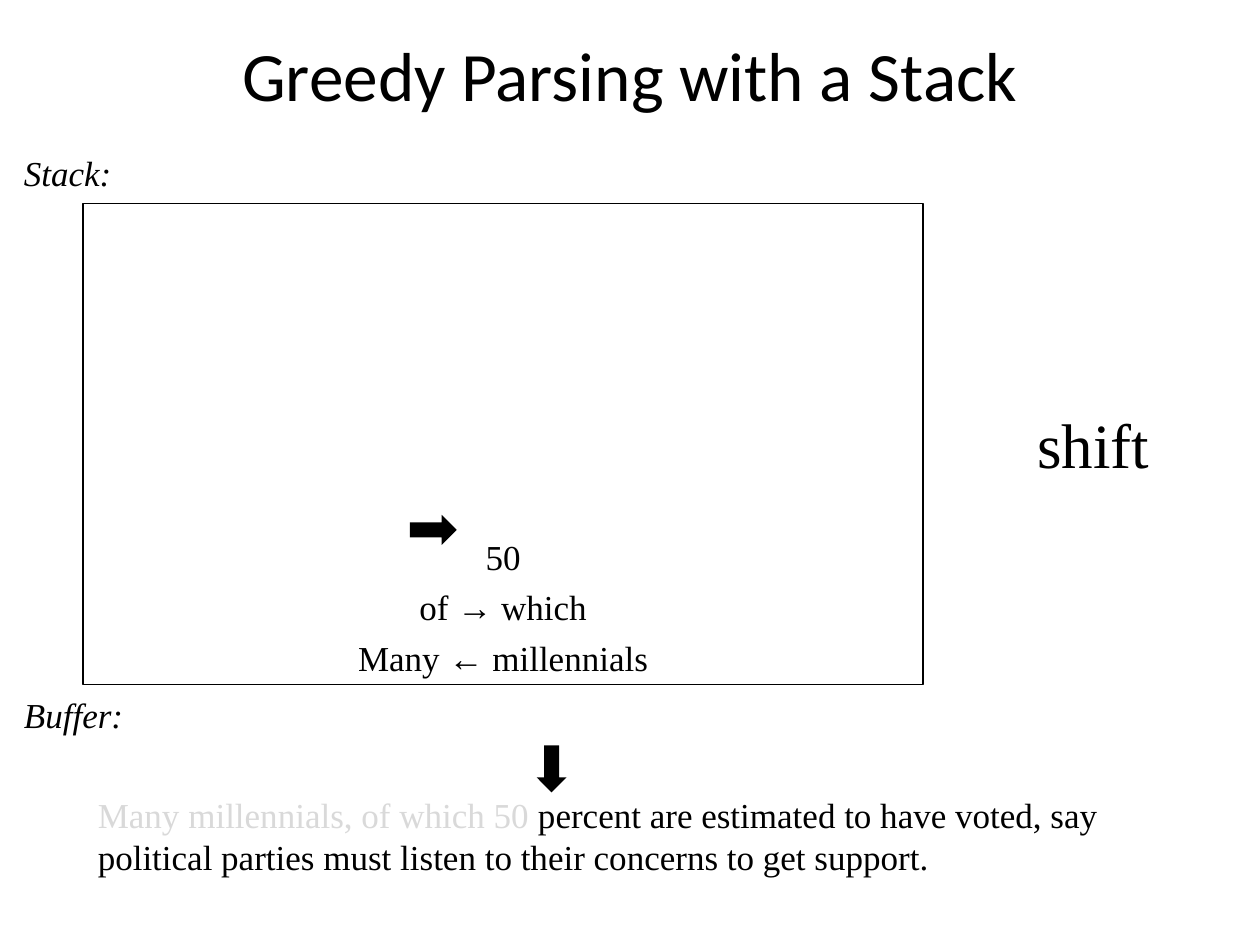
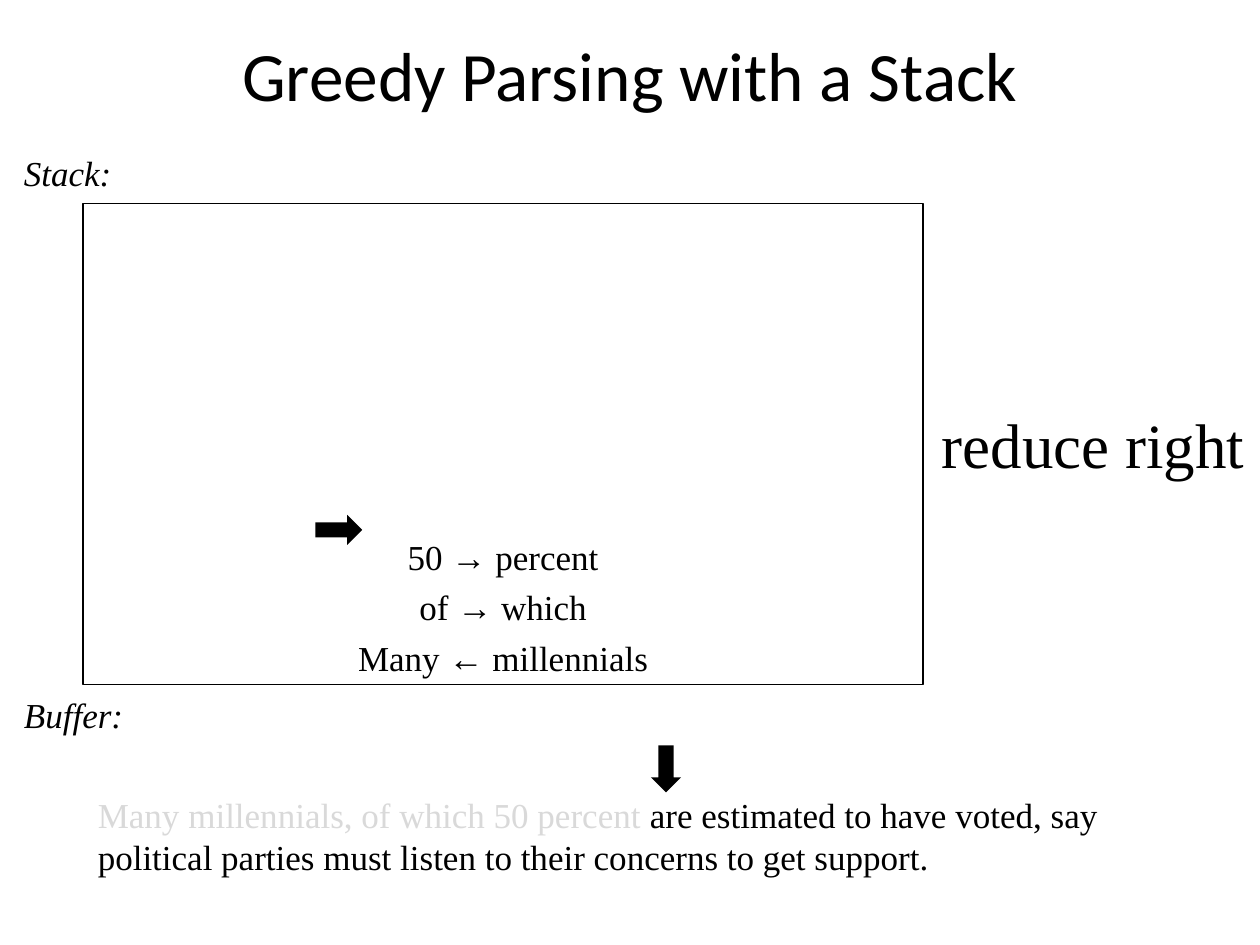
from dataclasses import dataclass

from pptx import Presentation
from pptx.dml.color import RGBColor
from pptx.enum.shapes import MSO_SHAPE
from pptx.enum.text import MSO_ANCHOR, PP_ALIGN
from pptx.util import Pt


@dataclass(frozen=True)
class Theme:
    ink: RGBColor = RGBColor(0x00, 0x00, 0x00)
    consumed: RGBColor = RGBColor(0xD9, 0xD9, 0xD9)
    paper: RGBColor = RGBColor(0xFF, 0xFF, 0xFF)
    title_font: str = "Calibri"
    body_font: str = "Times New Roman"
    title_size: float = 39.6
    action_size: float = 36
    body_size: float = 20


THEME = Theme()
TITLE = "Greedy Parsing with a Stack"
SENTENCE = ("Many millennials, of which 50 percent are estimated to have voted, "
            "say political parties must listen to their concerns to get support.")
ACTION_CENTER = 624.6
ARROW_WIDTH, ARROW_HEIGHT = 17.2, 26.8

# One parser state per slide; stack items run from top to bottom
STATES = [
    {"action": "shift", "action_width": 81.4,
     "stack": ["50", "of → which", "Many ← millennials"],
     "consumed": "Many millennials, of which 50",
     "stack_arrow": 239, "buffer_arrow": 306.6},
    {"action": "reduce right", "action_width": 200,
     "stack": ["50 → percent", "of → which", "Many ← millennials"],
     "consumed": "Many millennials, of which 50 percent",
     "stack_arrow": 185, "buffer_arrow": 372},
]


def add_run(paragraph, text, size=THEME.body_size, color=THEME.ink,
            name=THEME.body_font, italic=False):
    run = paragraph.add_run()
    run.text = text
    run.font.name = name
    run.font.size = Pt(size)
    run.font.italic = italic
    run.font.color.rgb = color


def add_text_box(slide, left, top, width, height, align=PP_ALIGN.LEFT, wrap=True):
    frame = slide.shapes.add_textbox(Pt(left), Pt(top), Pt(width), Pt(height)).text_frame
    frame.word_wrap = wrap
    frame.paragraphs[0].alignment = align
    return frame


presentation = Presentation()
presentation.slide_width = Pt(720)
presentation.slide_height = Pt(540)

for state in STATES:
    slide = presentation.slides.add_slide(presentation.slide_layouts[6])
    slide.background.fill.solid()
    slide.background.fill.fore_color.rgb = THEME.paper

    # Title
    frame = add_text_box(slide, 36, 13.5, 648, 57, PP_ALIGN.CENTER)
    frame.vertical_anchor = MSO_ANCHOR.MIDDLE
    add_run(frame.paragraphs[0], TITLE, THEME.title_size, name=THEME.title_font)

    # Sentence, with the words already read greyed out
    frame = add_text_box(slide, 48.8, 450, 648, 60)
    add_run(frame.paragraphs[0], state["consumed"], color=THEME.consumed)
    add_run(frame.paragraphs[0], SENTENCE.removeprefix(state["consumed"]))

    # Section labels
    for label, top in (("Buffer:", 393), ("Stack:", 82.8)):
        frame = add_text_box(slide, 6.6, top, 77, 30)
        add_run(frame.paragraphs[0], label, italic=True)

    # Stack, filled from the bottom up
    stack = slide.shapes.add_shape(MSO_SHAPE.RECTANGLE, Pt(47.5), Pt(116.2), Pt(480), Pt(275.2))
    stack.shadow.inherit = False
    stack.fill.background()
    stack.line.color.rgb = THEME.ink
    stack.line.width = Pt(0.75)
    frame = stack.text_frame
    frame.word_wrap = True
    frame.vertical_anchor = MSO_ANCHOR.BOTTOM
    for index, item in enumerate(state["stack"]):
        paragraph = frame.add_paragraph() if index else frame.paragraphs[0]
        paragraph.alignment = PP_ALIGN.CENTER
        if index:
            paragraph.space_before = Pt(5)
        add_run(paragraph, item)

    # Parser action
    width = state["action_width"]
    frame = add_text_box(slide, ACTION_CENTER - width / 2, 228.2, width, 51,
                         PP_ALIGN.CENTER, wrap=False)
    add_run(frame.paragraphs[0], state["action"], THEME.action_size)

    # Pointers to the next word and to the top of the stack
    for left, top, rotation in ((state["buffer_arrow"], 426, 0),
                                (state["stack_arrow"], 289.4, 270)):
        arrow = slide.shapes.add_shape(MSO_SHAPE.DOWN_ARROW, Pt(left), Pt(top),
                                       Pt(ARROW_WIDTH), Pt(ARROW_HEIGHT))
        arrow.rotation = rotation
        arrow.shadow.inherit = False
        arrow.fill.solid()
        arrow.fill.fore_color.rgb = THEME.ink
        arrow.line.fill.background()

presentation.save("out.pptx")
